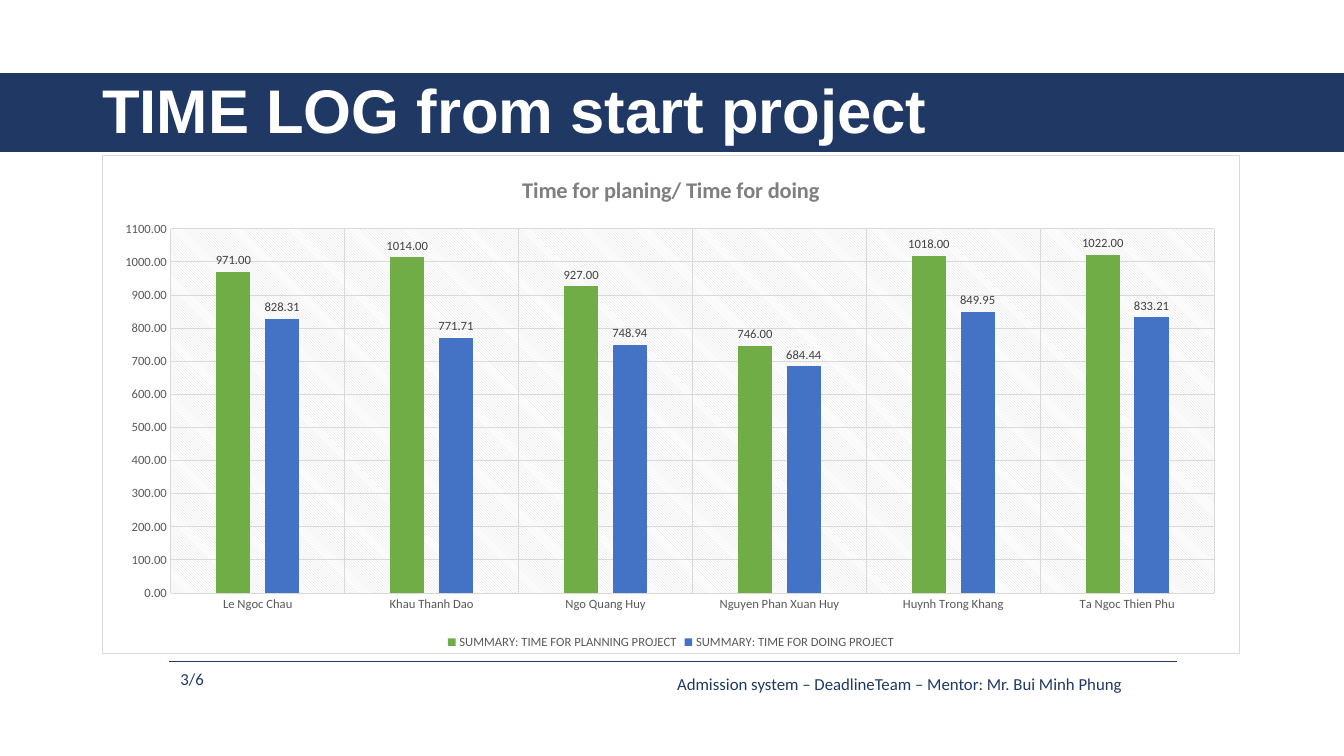
from lxml import etree
from pptx import Presentation
from pptx.chart.data import CategoryChartData
from pptx.dml.color import RGBColor
from pptx.enum.chart import XL_CHART_TYPE, XL_LABEL_POSITION, XL_LEGEND_POSITION, XL_TICK_MARK
from pptx.enum.shapes import MSO_CONNECTOR, MSO_SHAPE
from pptx.enum.text import MSO_ANCHOR
from pptx.oxml import parse_xml
from pptx.oxml.ns import nsdecls, qn
from pptx.util import Pt

COLUMNS = XL_CHART_TYPE.COLUMN_CLUSTERED
OUTSIDE_END = XL_LABEL_POSITION.OUTSIDE_END
LEGEND_BOTTOM = XL_LEGEND_POSITION.BOTTOM
NO_TICKS = XL_TICK_MARK.NONE
RECTANGLE = MSO_SHAPE.RECTANGLE
STRAIGHT = MSO_CONNECTOR.STRAIGHT
MIDDLE, TOP = MSO_ANCHOR.MIDDLE, MSO_ANCHOR.TOP

COLORS = {
    "navy": "203864", "white": "FFFFFF", "black": "000000", "grid": "D9D9D9",
    "axis": "595959", "label": "404040", "heading": "7F7F7F",
    "planning": "70AD47", "doing": "4472C4",
}
MEMBERS = ["Le Ngoc Chau", "Khau Thanh Dao", "Ngo Quang Huy",
           "Nguyen Phan Xuan Huy", "Huynh Trong Khang", "Ta Ngoc Thien Phu"]
TIME_LOG = [
    ("SUMMARY: TIME FOR PLANNING PROJECT", "planning",
     [971, 1014, 927, 746, 1018, 1022]),
    ("SUMMARY: TIME FOR DOING PROJECT", "doing",
     [828.31, 771.71, 748.94, 684.44, 849.95, 833.21]),
]
PLOT_LAYOUT = {"x": 0.06, "y": 0.147, "w": 0.918, "h": 0.732}


def rgb(name):
    return RGBColor.from_string(COLORS[name])


def style_font(font, size, color, name="Calibri", bold=False):
    font.size = Pt(size)
    font.name = name
    font.bold = bold
    font.color.rgb = rgb(color)


def style_line(line, color, width):
    line.color.rgb = rgb(color)
    line.width = Pt(width)


def add_band(slide, left, top, width, height):
    band = slide.shapes.add_shape(RECTANGLE, Pt(left), Pt(top), Pt(width), Pt(height))
    band.shadow.inherit = False
    band.fill.solid()
    band.fill.fore_color.rgb = rgb("navy")
    style_line(band.line, "navy", 1)


def add_text(slide, text, box, size, color, name="Calibri", bold=False,
             anchor=TOP, wrap=True):
    frame = slide.shapes.add_textbox(*map(Pt, box)).text_frame
    frame.word_wrap = wrap
    frame.vertical_anchor = anchor
    paragraph = frame.paragraphs[0]
    paragraph.text = text
    style_font(paragraph.font, size, color, name, bold)
    return paragraph


def add_rule(slide, left, right, top):
    rule = slide.shapes.add_connector(STRAIGHT, Pt(left), Pt(top), Pt(right), Pt(top))
    style_line(rule.line, "navy", 0.5)
    etree.SubElement(rule.element.spPr, qn("a:effectLst"))


def style_axis(axis):
    axis.major_tick_mark = NO_TICKS
    axis.minor_tick_mark = NO_TICKS
    axis.has_major_gridlines = True
    style_line(axis.major_gridlines.format.line, "grid", 0.75)
    style_font(axis.tick_labels.font, 9, "axis")


def style_backgrounds(chart):
    """White bordered chart area, hatched plot area at a fixed place."""
    space = chart.element
    space.find(qn("c:chart")).addnext(parse_xml(
        f'<c:spPr {nsdecls("c", "a")}>'
        f'<a:solidFill><a:srgbClr val="{COLORS["white"]}"/></a:solidFill>'
        f'<a:ln w="{Pt(0.75)}"><a:solidFill><a:srgbClr val="{COLORS["grid"]}"/>'
        '</a:solidFill></a:ln></c:spPr>'))
    plot_area = space.find(".//" + qn("c:plotArea"))
    for layout in plot_area.findall(qn("c:layout")):
        plot_area.remove(layout)
    places = "".join(f'<c:{key} val="{value}"/>' for key, value in PLOT_LAYOUT.items())
    plot_area.insert(0, parse_xml(
        f'<c:layout {nsdecls("c")}><c:manualLayout><c:layoutTarget val="inner"/>'
        f'<c:xMode val="edge"/><c:yMode val="edge"/>{places}'
        '</c:manualLayout></c:layout>'))
    plot_area.append(parse_xml(
        f'<c:spPr {nsdecls("c", "a")}><a:pattFill prst="ltDnDiag">'
        f'<a:fgClr><a:srgbClr val="{COLORS["grid"]}"/></a:fgClr>'
        f'<a:bgClr><a:srgbClr val="{COLORS["white"]}"/></a:bgClr>'
        '</a:pattFill><a:ln><a:noFill/></a:ln></c:spPr>'))


def add_time_chart(slide, left, top, width, height):
    data = CategoryChartData(number_format="0.00")
    data.categories = MEMBERS
    for name, _, hours in TIME_LOG:
        data.add_series(name, hours)
    chart = slide.shapes.add_chart(
        COLUMNS, Pt(left), Pt(top), Pt(width), Pt(height), data).chart
    style_font(chart.font, 10, "black")

    # Heading and legend
    chart.has_title = True
    heading = chart.chart_title.text_frame.paragraphs[0]
    heading.text = "Time for planing/ Time for doing"
    style_font(heading.font, 16, "heading", bold=True)
    chart.chart_title.include_in_layout = False
    chart.has_legend = True
    chart.legend.position = LEGEND_BOTTOM
    chart.legend.include_in_layout = False
    style_font(chart.legend.font, 9, "axis")

    # Axes
    members, hours_axis = chart.category_axis, chart.value_axis
    style_axis(members)
    style_line(members.format.line, "grid", 0.75)
    style_axis(hours_axis)
    hours_axis.format.line.fill.background()
    hours_axis.minimum_scale, hours_axis.maximum_scale = 0, 1100
    hours_axis.major_unit = 100
    hours_axis.tick_labels.number_format = "0.00"
    hours_axis.tick_labels.number_format_is_linked = False

    # Columns and their values
    plot = chart.plots[0]
    plot.gap_width, plot.overlap = 267, -43
    plot.vary_by_categories = False
    for series, (_, color, _) in zip(plot.series, TIME_LOG):
        series.format.fill.solid()
        series.format.fill.fore_color.rgb = rgb(color)
        labels = series.data_labels
        labels.show_value = True
        labels.position = OUTSIDE_END
        labels.number_format = "0.00"
        labels.number_format_is_linked = False
        style_font(labels.font, 9, "label")
    style_backgrounds(chart)


def main():
    deck = Presentation()
    deck.slide_width, deck.slide_height = Pt(960), Pt(540)
    slide = deck.slides.add_slide(deck.slide_layouts[6])

    # Title band
    add_band(slide, 0, 52.5, 960, 55.5)
    title = add_text(slide, "TIME LOG from start project", (66, 28.75, 828, 104.4),
                     44, "white", "Arial", bold=True, anchor=MIDDLE)
    title.line_spacing = 0.9

    # Footer
    add_rule(slide, 121, 841, 472.3)
    add_text(slide, "Admission system – DeadlineTeam – Mentor: Mr. Bui Minh Phung",
             (476.6, 477.4, 366, 21.8), 12, "navy", wrap=False)
    add_text(slide, "3/6", (121.7, 474, 36.7, 21.8), 12, "navy")

    add_time_chart(slide, 72.9, 110.9, 812.6, 356.2)
    deck.save("out.pptx")


if __name__ == "__main__":
    main()
